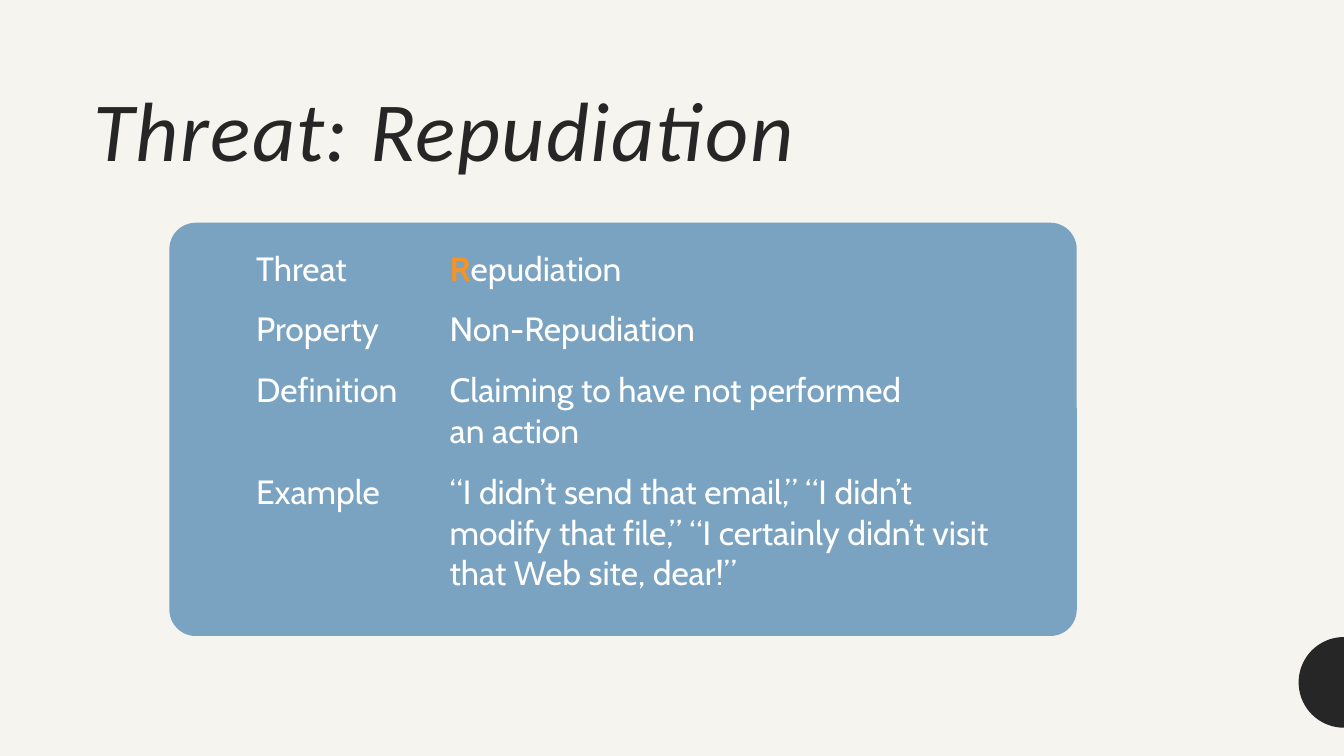
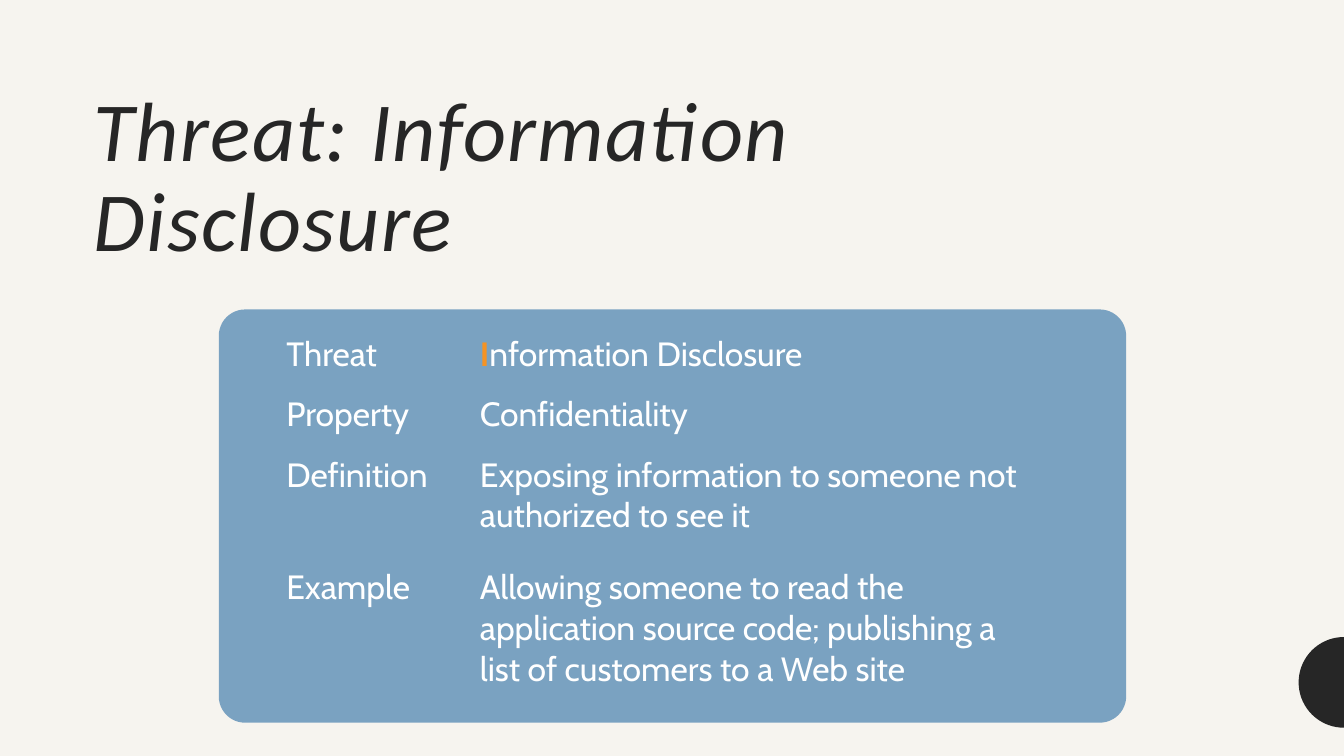
from dataclasses import dataclass
from math import cos, pi, sin

from lxml.etree import SubElement
from pptx import Presentation
from pptx.dml.color import RGBColor
from pptx.enum.shapes import MSO_SHAPE as Preset
from pptx.oxml.ns import qn
from pptx.slide import Slide
from pptx.table import _Cell as Cell
from pptx.util import Inches, Pt

PAPER, INK, BLUE, ORANGE, WHITE = "F6F4EF", "262626", "005194", "F59324", "FFFFFF"
TITLE_FONT, BODY_FONT = "Calibri", "Cabin"
PAGE_WIDTH, PAGE_HEIGHT = 13.33, 7.5
LABELS = ("Threat", "Property", "Definition", "Example")
COLUMN_WIDTHS = (1.92, 5.57)


@dataclass
class Threat:
    title: str
    title_size: tuple[float, float]
    panel_at: tuple[float, float]
    table_at: tuple[float, float]
    row_heights: tuple[float, ...]
    cell_margin: float
    values: tuple[str, ...]


THREATS = (
    Threat(
        "Threat: Repudiation", (7.69, 1.74), (1.68, 2.21), (2.44, 2.37),
        (0.6, 0.6, 1.01, 1.57), 0.1,
        (
            "Repudiation",
            "Non-Repudiation",
            "Claiming to have not performed\van action",
            "“I didn’t send that email,” “I didn’t modify that file,” "
            "“I certainly didn’t visit that Web site, dear!”",
        ),
    ),
    Threat(
        "Threat: Information Disclosure", (9.19, 1.93), (2.17, 3.07), (2.74, 3.26),
        (0.6, 0.6, 1.12, 1.92), 0.05,
        (
            "Information Disclosure",
            "Confidentiality",
            "Exposing information to someone not authorized to see it",
            "Allowing someone to read the application source code; "
            "publishing a list of customers to a Web site",
        ),
    ),
)


def colour(value: str) -> RGBColor:
    return RGBColor.from_string(value)


def paint(shape, value: str) -> None:
    shape.shadow.inherit = False
    shape.fill.solid()
    shape.fill.fore_color.rgb = colour(value)
    shape.line.fill.background()


def add_half_disc(page: Slide, center_y: float = 6.77, radius: float = 0.45) -> None:
    steps = 36
    angles = [pi / 2 + pi * step / steps for step in range(steps + 1)]
    points = [
        (Inches(PAGE_WIDTH + radius * cos(angle)), Inches(center_y - radius * sin(angle)))
        for angle in angles
    ]
    outline = page.shapes.build_freeform(*points[0])
    outline.add_line_segments(points[1:], close=True)
    paint(outline.convert_to_shape(), INK)


def add_panel(page: Slide, left: float, top: float) -> None:
    panel = page.shapes.add_shape(
        Preset.ROUNDED_RECTANGLE, Inches(left), Inches(top), Inches(9), Inches(4.1)
    )
    panel.adjustments[0] = 0.064
    paint(panel, BLUE)
    fill_colour = panel.fill._xPr.find(qn("a:solidFill"))[0]
    SubElement(fill_colour, qn("a:alpha"), val="50000")


def add_title(page: Slide, text: str, width: float, height: float) -> None:
    box = page.shapes.add_textbox(Inches(0.83), Inches(0.83), Inches(width), Inches(height))
    box.text_frame.word_wrap = True
    para = box.text_frame.paragraphs[0]
    para.line_spacing = 0.9
    span = para.add_run()
    span.text = text
    span._r.get_or_add_rPr().set("spc", "100")
    font = para.font
    font.name, font.size, font.italic = TITLE_FONT, Pt(60), True
    font.color.rgb = colour(INK)


def fill_cell(cell: Cell, text: str, margin: float, accented: bool) -> None:
    cell.fill.background()
    cell.margin_top = cell.margin_bottom = Inches(margin)
    para = cell.text_frame.paragraphs[0]
    if accented:
        initial = para.add_run()
        initial.text = text[0]
        initial.font.bold = True
        initial.font.color.rgb = colour(ORANGE)
        para.add_run().text = text[1:]
    else:
        para.text = text
    font = para.font
    font.name, font.size = BODY_FONT, Pt(24)
    font.color.rgb = colour(WHITE)


def add_threat_table(page: Slide, threat: Threat) -> None:
    left, top = threat.table_at
    table = page.shapes.add_table(
        len(LABELS), len(COLUMN_WIDTHS), Inches(left), Inches(top),
        Inches(sum(COLUMN_WIDTHS)), Inches(sum(threat.row_heights)),
    ).table
    table.first_row = table.horz_banding = False
    table._tbl.tblPr.find(qn("a:tableStyleId")).text = "{2D5ABB26-0587-4C30-8999-92F81FD0307C}"
    for column, width in zip(table.columns, COLUMN_WIDTHS):
        column.width = Inches(width)
    for index, texts in enumerate(zip(LABELS, threat.values)):
        row = table.rows[index]
        row.height = Inches(threat.row_heights[index])
        for position, text in enumerate(texts):
            accented = index == 0 and position == 1
            fill_cell(row.cells[position], text, threat.cell_margin, accented)


def main() -> None:
    deck = Presentation()
    deck.slide_width, deck.slide_height = Inches(PAGE_WIDTH), Inches(PAGE_HEIGHT)
    background = deck.slide_master.background.fill
    background.solid()
    background.fore_color.rgb = colour(PAPER)
    for threat in THREATS:
        page = deck.slides.add_slide(deck.slide_layouts[6])
        add_half_disc(page)
        add_panel(page, *threat.panel_at)
        add_title(page, threat.title, *threat.title_size)
        add_threat_table(page, threat)
    deck.save("out.pptx")


if __name__ == "__main__":
    main()
